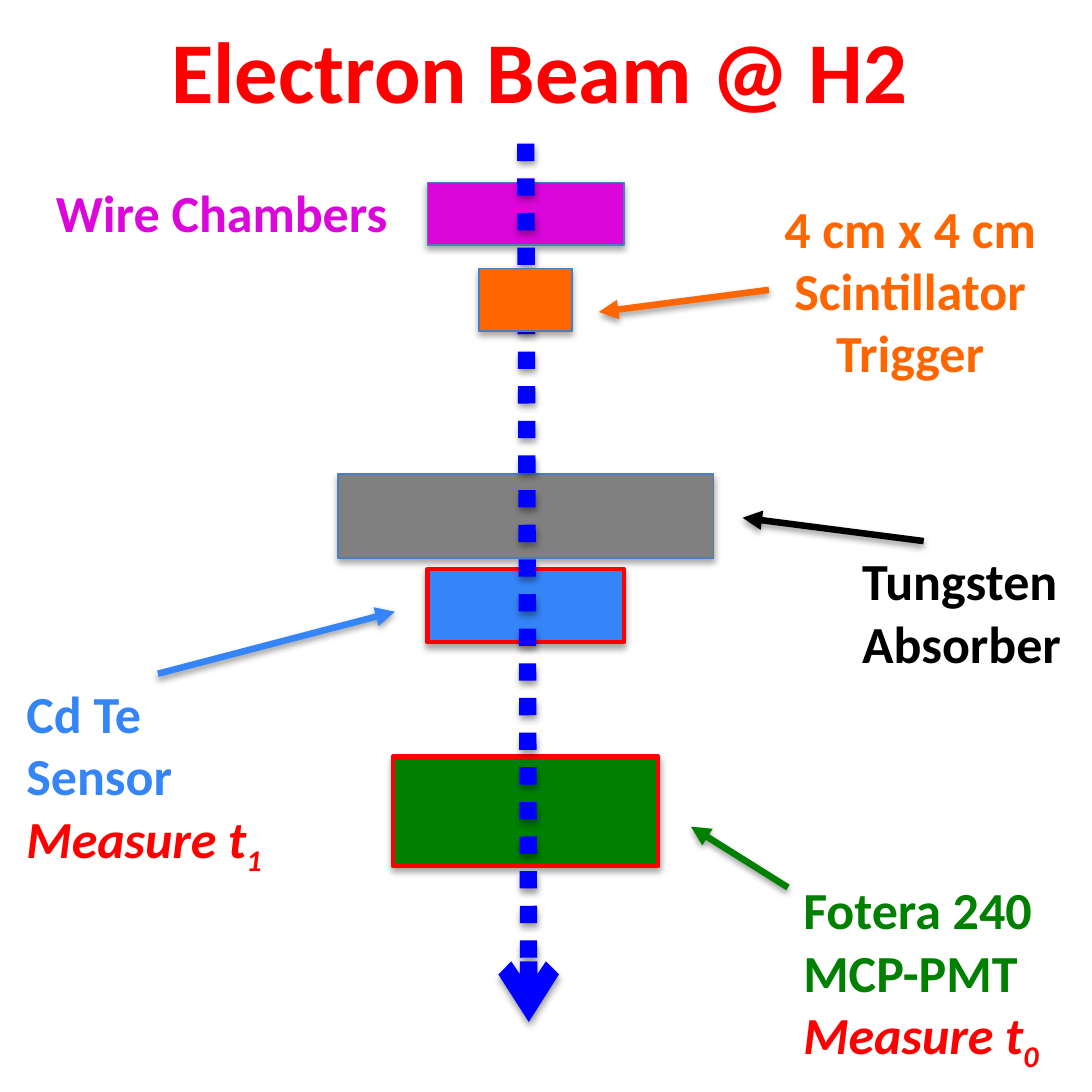
from lxml.etree import SubElement
from pptx import Presentation
from pptx.dml.color import RGBColor
from pptx.enum.dml import MSO_LINE
from pptx.enum.shapes import MSO_CONNECTOR, MSO_SHAPE
from pptx.enum.text import PP_ALIGN
from pptx.oxml.ns import qn
from pptx.util import Cm, Pt

SIDE = 17.78
AXIS = 8.56  # the boxes are centred on the beam
RED, BLUE, PINK, ORANGE = "FF0000", "3585F9", "DA06DA", "FF6600"
GREEN, GRAY, BLACK, EDGE = "008000", "808080", "000000", "4B7EBC"

# top, width, height, fill, line colour, line width
BOXES = [
    (2.97, 3.2, 1.02, PINK, EDGE, 0.75),
    (7.72, 6.12, 1.37, GRAY, EDGE, 0.75),
    (9.27, 3.2, 1.19, BLUE, RED, 2),
    (12.32, 4.32, 1.78, GREEN, RED, 2),
]
TRIGGER = (4.37, 1.52, 1.02, ORANGE, EDGE, 0.75)

# start, end, colour
BEAM = ((8.56, 2.34), (8.61, 16.64), "0000FF")
ARROWS = [
    ((2.57, 10.97), (6.43, 9.96), BLUE),
    ((15.04, 8.81), (12.09, 8.43), BLACK),
    ((12.83, 14.45), (11.25, 13.46), GREEN),
    ((12.52, 4.72), (9.75, 5.08), ORANGE),
]

# place, lines, format
LABELS = [
    ((2.54, 0.15, 13.79, 1.96), ["Electron Beam @ H2"],
     {"color": RED, "size": 40}),
    ((0.66, 2.82, 5.97, 1.27), ["Wire Chambers"],
     {"color": PINK, "wrap": False}),
    ((13.79, 8.81, 3.76, 2.29), ["Tungsten", "Absorber"],
     {"color": BLACK, "wrap": False}),
    ((0.18, 10.97, 4.8, 3.33), ["Cd Te Sensor"],
     {"color": BLUE, "time": "1"}),
    ((12.83, 14.17, 4.95, 3.33), ["Fotera 240", "MCP-PMT"],
     {"color": GREEN, "time": "0"}),
    ((11.86, 3.07, 5.92, 3.33), ["4 cm x 4 cm", "Scintillator", "Trigger"],
     {"color": ORANGE, "align": PP_ALIGN.CENTER}),
]


def paint(target, color):
    target.rgb = RGBColor.from_string(color)


def shade(item, dist, alpha):
    """Drop a soft black shadow straight down."""
    effect = SubElement(item._element.spPr, qn("a:effectLst"))
    outer = SubElement(effect, qn("a:outerShdw"), blurRad=str(Pt(3.1)),
                       dist=str(Pt(dist)), dir="5400000", rotWithShape="0")
    black = SubElement(outer, qn("a:srgbClr"), val=BLACK)
    SubElement(black, qn("a:alpha"), val=str(alpha * 1000))


def add_box(slide, top, width, height, fill, edge, weight):
    box = slide.shapes.add_shape(MSO_SHAPE.RECTANGLE, Cm(AXIS - width / 2),
                                 Cm(top), Cm(width), Cm(height))
    box.fill.solid()
    paint(box.fill.fore_color, fill)
    paint(box.line.color, edge)
    box.line.width = Pt(weight)
    shade(box, 1.8, 35)


def add_arrow(slide, start, end, color, weight=3, head="triangle", dash=None):
    arrow = slide.shapes.add_connector(MSO_CONNECTOR.STRAIGHT,
                                       *map(Cm, start + end))
    paint(arrow.line.color, color)
    arrow.line.width = Pt(weight)
    if dash:
        arrow.line.dash_style = dash
    SubElement(arrow.line._get_or_add_ln(), qn("a:tailEnd"), type=head)
    shade(arrow, 1.6, 38)


def add_run(para, text, color, size, italic=False, base=0):
    run = para.add_run()
    run.text = text
    font = run.font
    font.name, font.size, font.bold = "Calibri", Pt(size), True
    paint(font.color, color)
    if italic:
        font.italic = True
    if base:
        run._r.get_or_add_rPr().set("baseline", str(base * 1000))


def add_label(slide, place, lines, color, size=24, wrap=True,
              align=PP_ALIGN.LEFT, time=None):
    """Add lines of text, then a red measured time if one is given."""
    frame = slide.shapes.add_textbox(*map(Cm, place)).text_frame
    frame.word_wrap = wrap
    para = frame.paragraphs[0]
    for i, line in enumerate(lines):
        para = frame.add_paragraph() if i else para
        para.alignment = align
        add_run(para, line, color, size)
    if time:
        para = frame.add_paragraph()
        add_run(para, "Measure t", RED, size, italic=True)
        add_run(para, time, RED, size, italic=True, base=-25)


def main():
    deck = Presentation()
    deck.slide_width = deck.slide_height = Cm(SIDE)
    slide = deck.slides.add_slide(deck.slide_layouts[6])
    for box in BOXES:
        add_box(slide, *box)
    add_arrow(slide, *BEAM, weight=8, head="arrow", dash=MSO_LINE.ROUND_DOT)
    add_box(slide, *TRIGGER)
    for arrow in ARROWS:
        add_arrow(slide, *arrow)
    for place, lines, style in LABELS:
        add_label(slide, place, lines, **style)
    deck.save("out.pptx")


if __name__ == "__main__":
    main()
